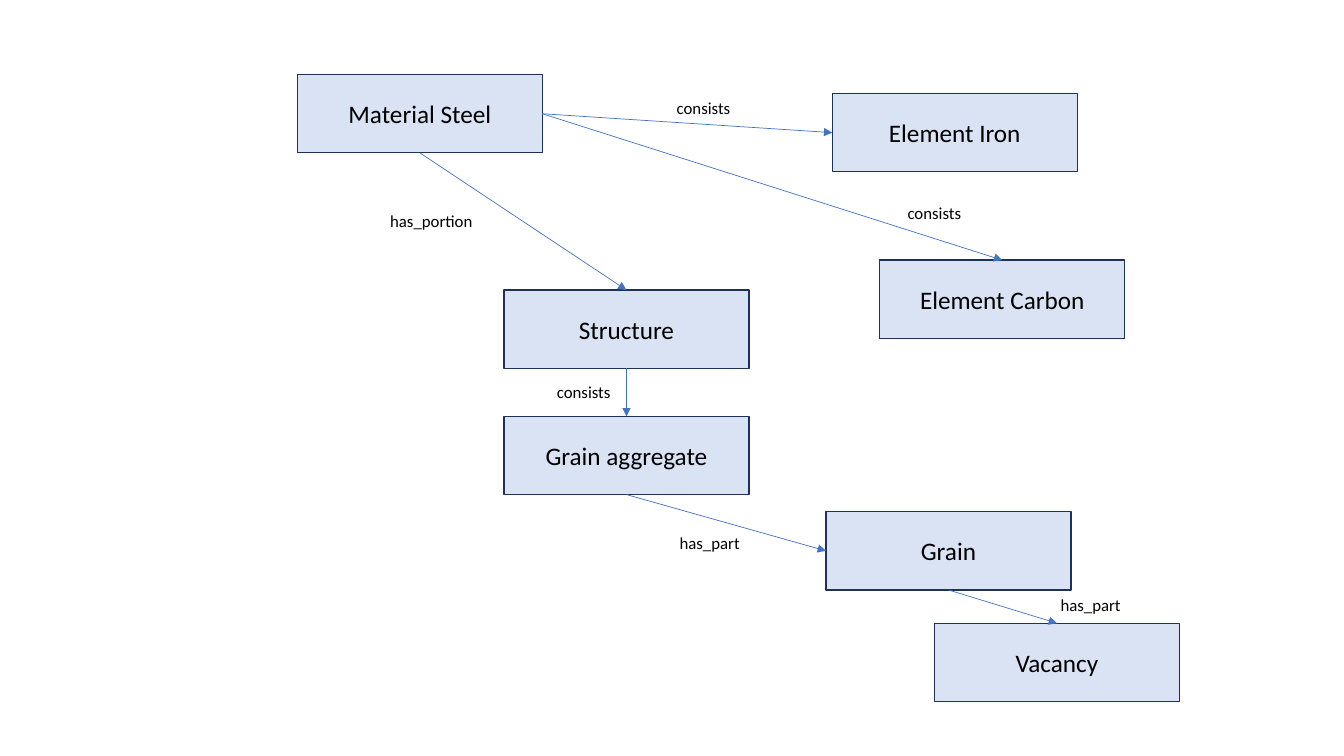
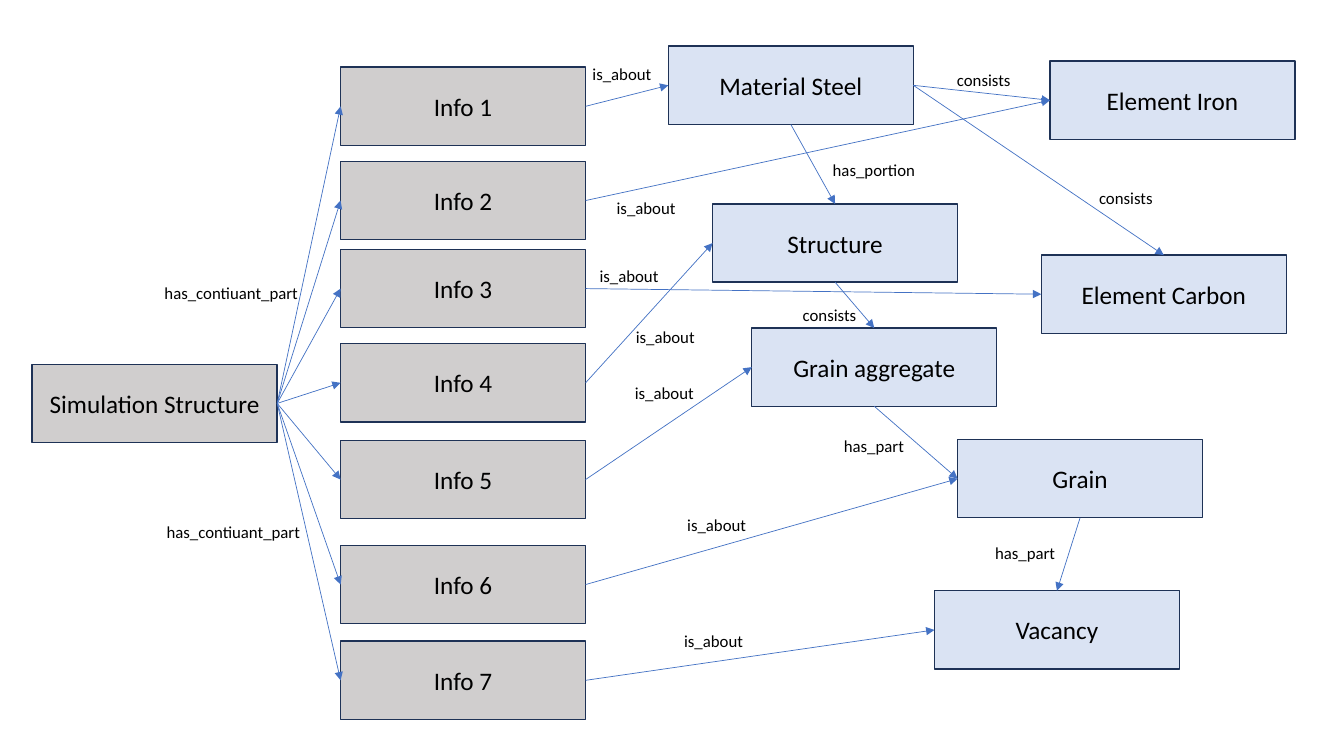
from lxml import etree
from pptx import Presentation
from pptx.dml.color import RGBColor
from pptx.enum.shapes import MSO_CONNECTOR, MSO_SHAPE
from pptx.enum.text import MSO_ANCHOR, MSO_AUTO_SIZE, PP_ALIGN
from pptx.oxml.ns import qn
from pptx.util import Pt

RECT = MSO_SHAPE.RECTANGLE
STRAIGHT = MSO_CONNECTOR.STRAIGHT
CENTER = PP_ALIGN.CENTER
MIDDLE = MSO_ANCHOR.MIDDLE
GROW = MSO_AUTO_SIZE.SHAPE_TO_FIT_TEXT

BLUE = RGBColor(0xDA, 0xE3, 0xF3)
GRAY = RGBColor(0xD0, 0xCE, 0xCE)
NAVY = RGBColor(0x1E, 0x32, 0x56)
ARROW = RGBColor(0x44, 0x72, 0xC4)
BLACK = RGBColor(0, 0, 0)
FONT = "Calibri"

BOX_W, BOX_H = 175, 55.9
LABEL_H = 21.8
LABEL_W = {"has_portion": 80.6, "has_contiuant_part": 113}
SHORT_LABEL_W = 59

# Connection sites of a rectangle
TOP, LEFT, BOTTOM, RIGHT = range(4)

# Relations within the material, the same on both slides
MATERIAL_LINKS = [
    ("Material Steel", BOTTOM, "has_portion", "Structure", TOP),
    ("Material Steel", RIGHT, "consists", "Element Iron", LEFT),
    ("Material Steel", RIGHT, "consists", "Element Carbon", TOP),
    ("Structure", BOTTOM, "consists", "Grain aggregate", TOP),
    ("Grain aggregate", BOTTOM, "has_part", "Grain", LEFT),
    ("Grain", BOTTOM, "has_part", "Vacancy", TOP),
]

# Box corners, and label corners in the order of MATERIAL_LINKS
MATERIAL_ALONE = {
    "Material Steel": (212.4, 53.3),
    "Element Iron": (594.5, 66.8),
    "Element Carbon": (628.4, 185.8),
    "Structure": (360, 207.2),
    "Grain aggregate": (360, 297.4),
    "Grain": (590, 365.5),
    "Vacancy": (667.5, 445.2),
}
LABELS_ALONE = [(267.8, 146.9), (473, 66.2), (637.9, 141.1),
                (387.4, 269.3), (477.4, 376.6), (749.5, 421.2)]

MATERIAL_WITH_INFO = {
    "Material Steel": (477.4, 33),
    "Element Iron": (750, 43.7),
    "Element Carbon": (743.8, 182.2),
    "Structure": (509, 145.7),
    "Grain aggregate": (537, 234.3),
    "Grain": (684, 314),
    "Vacancy": (667.5, 422),
}
LABELS_WITH_INFO = [(583.9, 110.9), (673.2, 46.1), (774.7, 130.3),
                    (563, 213.8), (594.7, 307.4), (702.7, 383.8)]

# Simulation side: box top, described box, label corner
SIMULATION = "Simulation Structure"
SIMULATION_AT = (23, 260.2)
INFO_X = 243.3
INFOS = [
    (48, "Material Steel", (414.7, 41.8)),
    (115.3, "Element Iron", (432, 137.5)),
    (178.2, "Element Carbon", (419.8, 186.5)),
    (245.5, "Structure", (445.7, 229.7)),
    (314.6, "Grain aggregate", (445, 270)),
    (389.6, "Grain", (482.4, 364.3)),
    (458, "Vacancy", (480.2, 447.1)),
]
PART_LABELS = [(108.7, 198.7), (110.2, 369.4)]


def add_text(tf, text, size):
    tf.word_wrap = True
    p = tf.paragraphs[0]
    p.alignment = CENTER
    r = p.add_run()
    r.text = text
    r.font.name = FONT
    r.font.size = Pt(size)
    r.font.color.rgb = BLACK


def add_box(s, text, x, y, fill):
    sp = s.shapes.add_shape(RECT, Pt(x), Pt(y), Pt(BOX_W), Pt(BOX_H))
    sp.shadow.inherit = False
    sp.fill.solid()
    sp.fill.fore_color.rgb = fill
    sp.line.color.rgb = NAVY
    sp.line.width = Pt(1)
    sp.text_frame.vertical_anchor = MIDDLE
    add_text(sp.text_frame, text, 18)
    return sp


def add_label(s, text, x, y):
    width = LABEL_W.get(text, SHORT_LABEL_W)
    tf = s.shapes.add_textbox(Pt(x), Pt(y), Pt(width), Pt(LABEL_H)).text_frame
    add_text(tf, text, 12)
    tf.auto_size = GROW


def add_arrow(s, start, start_site, end, end_site):
    line = s.shapes.add_connector(STRAIGHT, 0, 0, 0, 0)
    line.begin_connect(start, start_site)
    line.end_connect(end, end_site)
    line.line.color.rgb = ARROW
    line.line.width = Pt(0.5)
    ln = line.line._get_or_add_ln()
    etree.SubElement(ln, qn("a:tailEnd"), type="triangle")
    etree.SubElement(line._element.spPr, qn("a:effectLst"))


def add_material(s, places, label_places):
    boxes = {name: add_box(s, name, x, y, BLUE)
             for name, (x, y) in places.items()}
    for link, (x, y) in zip(MATERIAL_LINKS, label_places):
        start, start_site, label, end, end_site = link
        add_arrow(s, boxes[start], start_site, boxes[end], end_site)
        add_label(s, label, x, y)
    return boxes


def add_simulation(s, material):
    simulation = add_box(s, SIMULATION, *SIMULATION_AT, GRAY)
    for number, (y, subject, label_at) in enumerate(INFOS, 1):
        info = add_box(s, f"Info {number}", INFO_X, y, GRAY)
        add_arrow(s, simulation, RIGHT, info, LEFT)
        add_arrow(s, info, RIGHT, material[subject], LEFT)
        add_label(s, "is_about", *label_at)
    for x, y in PART_LABELS:
        add_label(s, "has_contiuant_part", x, y)


def main():
    prs = Presentation()
    prs.slide_width, prs.slide_height = Pt(960), Pt(540)
    blank = prs.slide_layouts[6]

    # Material on its own
    add_material(prs.slides.add_slide(blank), MATERIAL_ALONE, LABELS_ALONE)

    # Material described by the simulation structure
    s = prs.slides.add_slide(blank)
    material = add_material(s, MATERIAL_WITH_INFO, LABELS_WITH_INFO)
    add_simulation(s, material)

    prs.save("out.pptx")


if __name__ == "__main__":
    main()
